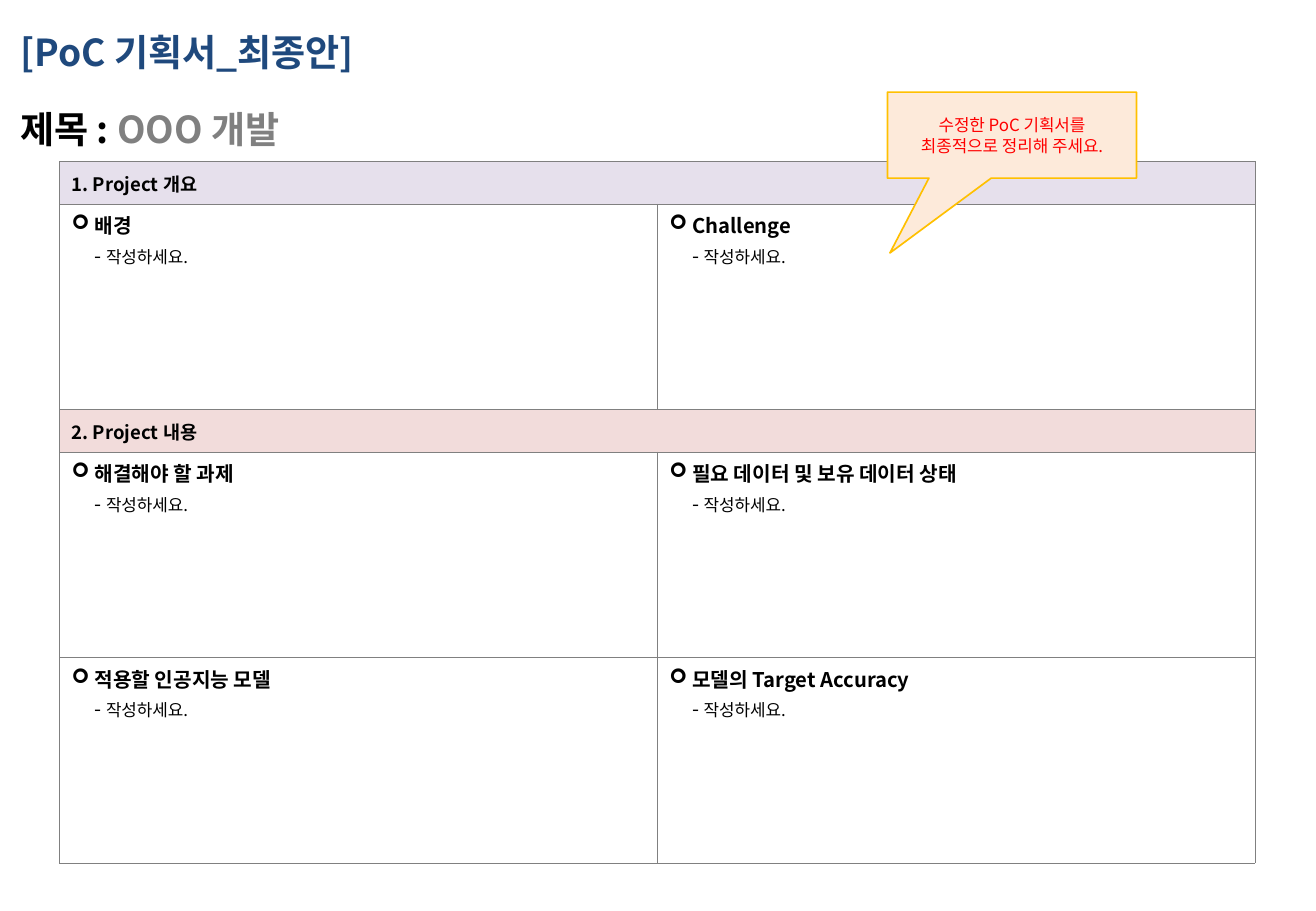
from lxml import etree
from pptx import Presentation
from pptx.dml.color import RGBColor
from pptx.enum.shapes import MSO_SHAPE
from pptx.enum.text import MSO_ANCHOR, PP_ALIGN
from pptx.oxml.ns import qn
from pptx.util import Pt

CALLOUT = MSO_SHAPE.RECTANGULAR_CALLOUT
MIDDLE, TOP = MSO_ANCHOR.MIDDLE, MSO_ANCHOR.TOP
CENTER = PP_ALIGN.CENTER

FONT = "Noto Sans CJK KR"
NAVY = RGBColor(0x1F, 0x49, 0x7D)
BLACK = RGBColor(0, 0, 0)
GRAY = RGBColor(0x80, 0x80, 0x80)
LILAC = RGBColor(0xE6, 0xE0, 0xEC)
PINK = RGBColor(0xF2, 0xDC, 0xDB)
PEACH = RGBColor(0xFD, 0xEA, 0xDA)
AMBER = RGBColor(0xFF, 0xC0, 0x00)
RED = RGBColor(0xFF, 0, 0)

TITLE_LINES = [
    [(" [PoC 기획서_최종안]", NAVY)],
    [(" 제목 : ", BLACK), ("OOO 개발", GRAY)],
]
SECTIONS = [
    ("1. Project 개요", LILAC, [("배경 ", "Challenge")]),
    ("2. Project 내용", PINK, [
        ("해결해야 할 과제", "필요 데이터 및 보유 데이터 상태"),
        ("적용할 인공지능 모델", "모델의 Target Accuracy"),
    ]),
]
PROMPT = "작성하세요."
CALLOUT_LINES = ["수정한 PoC 기획서를", "최종적으로 정리해 주세요."]

SLIDE_W, SLIDE_H = 780, 540
TABLE_X, TABLE_Y, COL_W = 35.3, 95.8, 354.3
HEADER_H, BODY_H = 25.2, 121.8
INDENT = 13.5


def add_run(p, text, size, color=BLACK, bold=False):
    """Add a run with its font set for Latin and Korean text."""
    r = p.add_run()
    r.text = text
    r.font.size, r.font.bold, r.font.name = Pt(size), bold, FONT
    r.font.color.rgb = color
    etree.SubElement(r.font._element, qn("a:ea"), typeface=FONT)


def set_borders(cell):
    """Draw a thin gray line on each side of a cell."""
    tc_pr = cell._tc.get_or_add_tcPr()
    for side in ("lnL", "lnR", "lnT", "lnB"):
        ln = etree.SubElement(tc_pr, qn(f"a:{side}"), w=str(Pt(0.5)))
        fill = etree.SubElement(ln, qn("a:solidFill"))
        etree.SubElement(fill, qn("a:srgbClr"), val=str(GRAY))


def fill_header(cell, text, color):
    """Write a section heading on its coloured band."""
    cell.fill.solid()
    cell.fill.fore_color.rgb = color
    cell.vertical_anchor = MIDDLE
    add_run(cell.text_frame.paragraphs[0], text, 11, bold=True)


def fill_body(cell, heading):
    """Write a bulleted heading with the prompt on the line below."""
    cell.fill.background()
    cell.vertical_anchor = TOP
    p = cell.text_frame.paragraphs[0]
    p_pr = p._p.get_or_add_pPr()
    p_pr.set("marL", str(Pt(INDENT)))
    p_pr.set("indent", str(Pt(-INDENT)))
    etree.SubElement(p_pr, qn("a:buFont"), typeface="Wingdings")
    etree.SubElement(p_pr, qn("a:buChar"), char="➢")
    add_run(p, heading, 12, bold=True)
    p.add_line_break()
    etree.SubElement(p._p[-1], qn("a:rPr"), sz="1200")
    add_run(p, "- ", 12)
    add_run(p, PROMPT, 10)


def add_title(s):
    """Add the two title lines."""
    tf = s.shapes.add_textbox(0, Pt(0.7), Pt(SLIDE_W), Pt(93.6)).text_frame
    tf.word_wrap = True
    for i, runs in enumerate(TITLE_LINES):
        p = tf.add_paragraph() if i else tf.paragraphs[0]
        p.line_spacing, p.space_before = 1.5, Pt(6)
        for text, color in runs:
            add_run(p, text, 22, color, True)


def add_plan_table(s):
    """Add the table of sections, a band and its body rows for each."""
    heights = [h for _, _, body in SECTIONS
               for h in [HEADER_H] + [BODY_H] * len(body)]
    table = s.shapes.add_table(len(heights), 2, Pt(TABLE_X), Pt(TABLE_Y),
                               Pt(2 * COL_W), Pt(sum(heights))).table
    table.first_row = table.horz_banding = False
    for col in table.columns:
        col.width = Pt(COL_W)
    for row, height in zip(table.rows, heights):
        row.height = Pt(height)
    for cell in table.iter_cells():
        set_borders(cell)
    row = 0
    for title, color, body in SECTIONS:
        table.cell(row, 0).merge(table.cell(row, 1))
        fill_header(table.cell(row, 0), title, color)
        for headings in body:
            row += 1
            for col, heading in enumerate(headings):
                fill_body(table.cell(row, col), heading)
        row += 1


def add_callout(s):
    """Add the callout with the instruction."""
    sp = s.shapes.add_shape(CALLOUT, Pt(526), Pt(54.6), Pt(147.6), Pt(51))
    sp.adjustments[0], sp.adjustments[1] = -0.49, 1.37
    sp.shadow.inherit = False
    sp.fill.solid()
    sp.fill.fore_color.rgb = PEACH
    sp.line.color.rgb = AMBER
    sp.line.width = Pt(1)
    tf = sp.text_frame
    tf.word_wrap = True
    tf.vertical_anchor = MIDDLE
    for i, line in enumerate(CALLOUT_LINES):
        p = tf.add_paragraph() if i else tf.paragraphs[0]
        p.alignment = CENTER
        add_run(p, line, 10, RED)


prs = Presentation()
prs.slide_width, prs.slide_height = Pt(SLIDE_W), Pt(SLIDE_H)
s = prs.slides.add_slide(prs.slide_layouts[6])
add_title(s)
add_plan_table(s)
add_callout(s)
prs.save("out.pptx")
